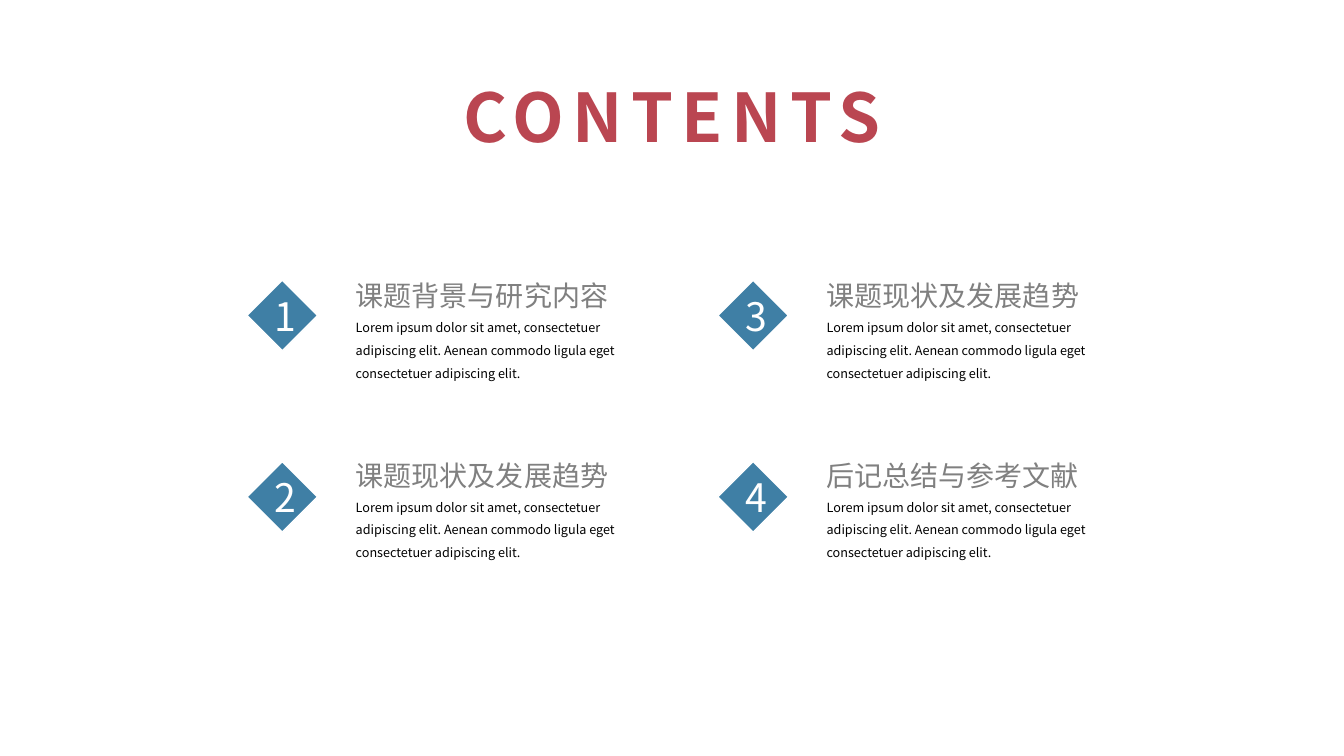
from dataclasses import dataclass

from pptx import Presentation
from pptx.dml.color import RGBColor
from pptx.enum.shapes import MSO_SHAPE as Preset
from pptx.enum.text import MSO_ANCHOR as Anchor, MSO_AUTO_SIZE as AutoSize, PP_ALIGN as Align
from pptx.oxml.ns import qn
from pptx.slide import Slide
from pptx.text.text import TextFrame
from pptx.util import Inches, Pt

RED = RGBColor(0xBA, 0x46, 0x51)
BLUE = RGBColor(0x3F, 0x7F, 0xA5)
GRAY = RGBColor(0x80, 0x80, 0x80)
WHITE = RGBColor(0xFF, 0xFF, 0xFF)
BLACK = RGBColor(0x00, 0x00, 0x00)
FONT = "Noto Sans CJK SC"
SUMMARY = ("Lorem ipsum dolor sit amet, consectetuer adipiscing elit. "
           "Aenean commodo ligula eget consectetuer adipiscing elit.")
COLUMN_PITCH = 4.67


@dataclass(frozen=True)
class Part:
    """Place of one part of an entry in the grid, in inches."""
    left: float
    top: float
    height: float
    row_pitch: float

    def at(self, column: int, row: int, width: float) -> list[int]:
        return [Inches(self.left + column * COLUMN_PITCH),
                Inches(self.top + row * self.row_pitch),
                Inches(width), Inches(self.height)]


@dataclass(frozen=True)
class Entry:
    heading: str
    heading_width: float
    summary_width: float


MARKER = Part(2.45, 2.78, 0.7, 1.8)
HEADING = Part(3.43, 2.71, 0.44, 1.79)
SUMMARY_PART = Part(3.43, 3.05, 0.78, 1.78)

# Entries run down the first column, then the second
ENTRIES = [
    Entry("课题背景与研究内容", 3.54, 2.96),
    Entry("课题现状及发展趋势", 2.81, 2.81),
    Entry("课题现状及发展趋势", 2.81, 2.96),
    Entry("后记总结与参考文献", 3.2, 2.81),
]
ROWS = 2


def write(frame: TextFrame, text: str, size: float, color: RGBColor,
          align: Align = Align.LEFT, spacing: float = 1.0, bold: bool = False) -> None:
    frame.text = text
    frame.word_wrap = True
    paragraph = frame.paragraphs[0]
    paragraph.alignment = align
    paragraph.line_spacing = spacing
    run = paragraph.runs[0]
    run.font.size = Pt(size)
    run.font.bold = bold
    run.font.color.rgb = color
    run.font.name = FONT
    # East Asian typeface
    run.font._element.find(qn("a:latin")).addnext(
        run.font._element.makeelement(qn("a:ea"), {"typeface": FONT}))


def add_title(slide: Slide) -> None:
    title = slide.shapes.title
    title.left, title.top = Inches(3.89), Inches(0.7)
    title.width, title.height = Inches(5.55), Inches(0.91)
    frame = title.text_frame
    write(frame, "CONTENTS", 48, RED, Align.CENTER, bold=True)
    frame.vertical_anchor = Anchor.TOP
    frame.auto_size = AutoSize.SHAPE_TO_FIT_TEXT
    # Letter spacing of 6 points
    frame.paragraphs[0].runs[0].font._element.set("spc", "600")


def add_marker(slide: Slide, number: int, column: int, row: int) -> None:
    diamond = slide.shapes.add_shape(Preset.DIAMOND, *MARKER.at(column, row, MARKER.height))
    diamond.shadow.inherit = False
    diamond.fill.solid()
    diamond.fill.fore_color.rgb = BLUE
    diamond.line.color.rgb = WHITE
    diamond.line.width = Pt(1)
    write(diamond.text_frame, str(number), 28, WHITE, Align.CENTER)
    diamond.text_frame.vertical_anchor = Anchor.MIDDLE


def add_text(slide: Slide, place: list[int], text: str, size: float,
             color: RGBColor, spacing: float = 1.0) -> None:
    frame = slide.shapes.add_textbox(*place).text_frame
    write(frame, text, size, color, spacing=spacing)
    frame.auto_size = AutoSize.SHAPE_TO_FIT_TEXT


def main() -> None:
    deck = Presentation()
    deck.slide_width, deck.slide_height = Inches(13.33), Inches(7.5)
    slide = deck.slides.add_slide(deck.slide_layouts.get_by_name("Title Only"))
    add_title(slide)

    # Numbered entries
    for index, entry in enumerate(ENTRIES):
        column, row = divmod(index, ROWS)
        add_marker(slide, index + 1, column, row)
        add_text(slide, HEADING.at(column, row, entry.heading_width),
                 entry.heading, 20, GRAY)
        add_text(slide, SUMMARY_PART.at(column, row, entry.summary_width),
                 SUMMARY, 9, BLACK, spacing=1.5)

    deck.save("out.pptx")


if __name__ == "__main__":
    main()
